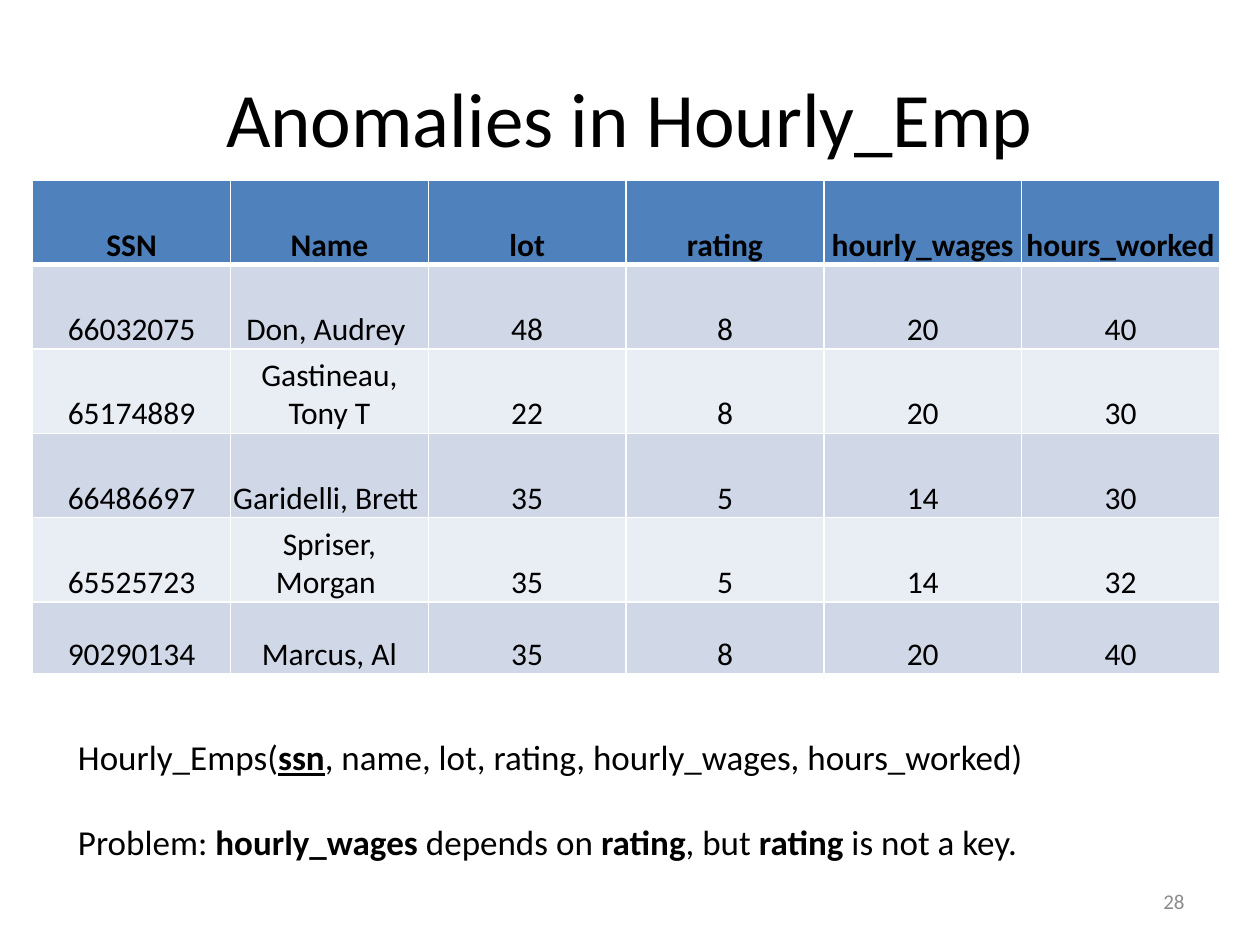
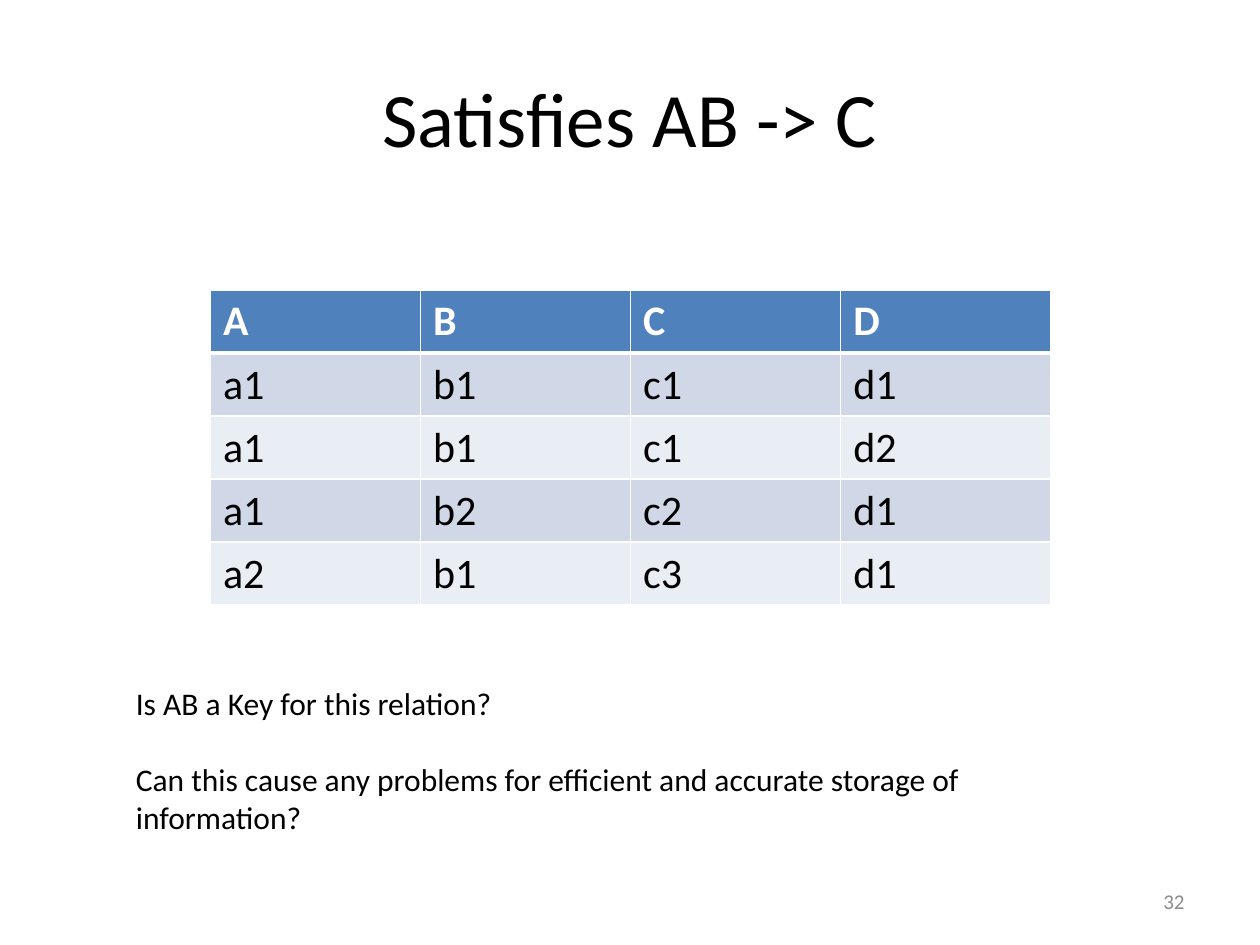
"""Build two slides on functional dependencies and the anomalies they cause."""
from lxml import etree
from pptx import Presentation
from pptx.dml.color import RGBColor
from pptx.enum.text import MSO_ANCHOR, PP_ALIGN
from pptx.oxml.ns import qn
from pptx.util import Inches, Pt

LEFT, CENTER, RIGHT = PP_ALIGN.LEFT, PP_ALIGN.CENTER, PP_ALIGN.RIGHT
TOP, MIDDLE, BOTTOM = MSO_ANCHOR.TOP, MSO_ANCHOR.MIDDLE, MSO_ANCHOR.BOTTOM

BLACK = RGBColor(0x00, 0x00, 0x00)
WHITE = RGBColor(0xFF, 0xFF, 0xFF)
GREY = RGBColor(0x8C, 0x8C, 0x8C)
HEADER_BLUE = RGBColor(0x4F, 0x81, 0xBD)
BANDS = (RGBColor(0xE9, 0xED, 0xF4), RGBColor(0xD0, 0xD8, 0xE8))

FONT = "Calibri"
LINE_HEIGHT = 1.22
BOLD = {"bold": True}
KEY = {"bold": True, "underline": True}

EMPLOYEES = [
    ("SSN", "Name", "lot", "rating", "hourly_wages", "hours_worked"),
    ("66032075", "Don, Audrey ", "48", "8", "20", "40"),
    ("65174889", "Gastineau, Tony T", "22", "8", "20", "30"),
    ("66486697", "Garidelli, Brett ", "35", "5", "14", "30"),
    ("65525723", "Spriser, Morgan ", "35", "5", "14", "32"),
    ("90290134", "Marcus, Al", "35", "8", "20", "40"),
]
RELATION = [
    ("A", "B", "C", "D"),
    ("a1", "b1", "c1", "d1"),
    ("a1", "b1", "c1", "d2"),
    ("a1", "b2", "c2", "d1"),
    ("a2", "b1", "c3", "d1"),
]
EMPLOYEE_NOTES = [
    [("Hourly_Emps(", {}), ("ssn", KEY),
     (", name, lot, rating, hourly_wages, hours_worked)", {})],
    [("Problem: ", {}), ("hourly_wages", BOLD), (" depends on ", {}),
     ("rating", BOLD), (", but ", {}), ("rating", BOLD), (" is not a key.", {})],
]
RELATION_NOTES = [
    [("Is AB a Key for this relation?", {})],
    [("Can this cause any problems for efficient and accurate storage of information?", {})],
]


class Deck:
    """Holds the shared style and the current slide."""

    def __init__(self):
        self.prs = Presentation()
        self.prs.slide_width, self.prs.slide_height = Inches(10), Inches(7.5)
        self.s = None

    def slide(self, title, number):
        """Start a slide with its title and page number."""
        self.s = self.prs.slides.add_slide(self.prs.slide_layouts[6])
        self.text((0.5, 0.3, 9, 1.25), [[(title, {})]], 44, CENTER, MIDDLE)
        self.text((7.17, 6.95, 2.33, 0.4), [[(number, {})]], 12, RIGHT, MIDDLE, GREY)

    def runs(self, p, parts, size, color, align):
        """Fill a paragraph with formatted runs."""
        p.alignment = align
        for text, extra in parts:
            r = p.add_run()
            r.text = text
            r.font.color.rgb = color
            for name, value in {"name": FONT, "size": Pt(size), **extra}.items():
                setattr(r.font, name, value)

    def text(self, box, paragraphs, size, align=LEFT, anchor=TOP, color=BLACK):
        """Add a text box whose paragraphs stand one line apart."""
        tf = self.s.shapes.add_textbox(*map(Inches, box)).text_frame
        tf.word_wrap, tf.vertical_anchor = True, anchor
        for i, parts in enumerate(paragraphs):
            p = tf.add_paragraph() if i else tf.paragraphs[0]
            if i:
                p.space_before = Pt(size * LINE_HEIGHT)
            self.runs(p, parts, size, color, align)

    def borders(self, cell, row):
        """Draw white cell edges, with a thick one under the header."""
        tc_pr = cell._tc.get_or_add_tcPr()
        widths = {"lnL": 1, "lnR": 1, "lnT": 3 if row == 1 else 1, "lnB": 1 if row else 3}
        for i, (edge, width) in enumerate(widths.items()):
            ln = etree.Element(qn(f"a:{edge}"), w=str(Pt(width)))
            fill = etree.SubElement(ln, qn("a:solidFill"))
            etree.SubElement(fill, qn("a:srgbClr"), val=str(WHITE))
            tc_pr.insert(i, ln)

    def table(self, box, rows, heights, size, head_color, align=LEFT, cell_format=None):
        """Add a banded table with equal columns."""
        shape = self.s.shapes.add_table(len(rows), len(rows[0]), *map(Inches, box))
        table = shape.table
        for column in table.columns:
            column.width = Inches(box[2] / len(rows[0]))
        for i, (values, height) in enumerate(zip(rows, heights)):
            table.rows[i].height = Inches(height)
            for j, value in enumerate(values):
                cell = table.cell(i, j)
                cell.fill.solid()
                cell.fill.fore_color.rgb = BANDS[i % 2] if i else HEADER_BLUE
                for name, setting in (cell_format or {}).items():
                    setattr(cell, name, setting)
                self.borders(cell, i)
                self.runs(cell.text_frame.paragraphs[0], [(value, {"bold": i == 0})],
                          size, BLACK if i else head_color, align)


def main():
    """Build and save both slides."""
    deck = Deck()
    tight = {"vertical_anchor": BOTTOM, "margin_left": Inches(0.01),
             "margin_right": Inches(0.01), "margin_top": Inches(0.01), "margin_bottom": 0}

    deck.slide("Anomalies in Hourly_Emp", "28")
    deck.table((0.26, 1.43, 9.42, 3.9), EMPLOYEES, [0.67] * 5 + [0.57], 18, BLACK,
               CENTER, tight)
    deck.text((0.52, 5.79, 8.98, 1.11), EMPLOYEE_NOTES, 20)

    deck.slide("Satisfies AB -> C", "32")
    deck.table((1.67, 2.3, 6.67, 2.5), RELATION, [0.5] * 5, 24, WHITE)
    deck.text((0.98, 5.38, 7.15, 1.31), RELATION_NOTES, 18)

    deck.prs.save("out.pptx")


if __name__ == "__main__":
    main()
